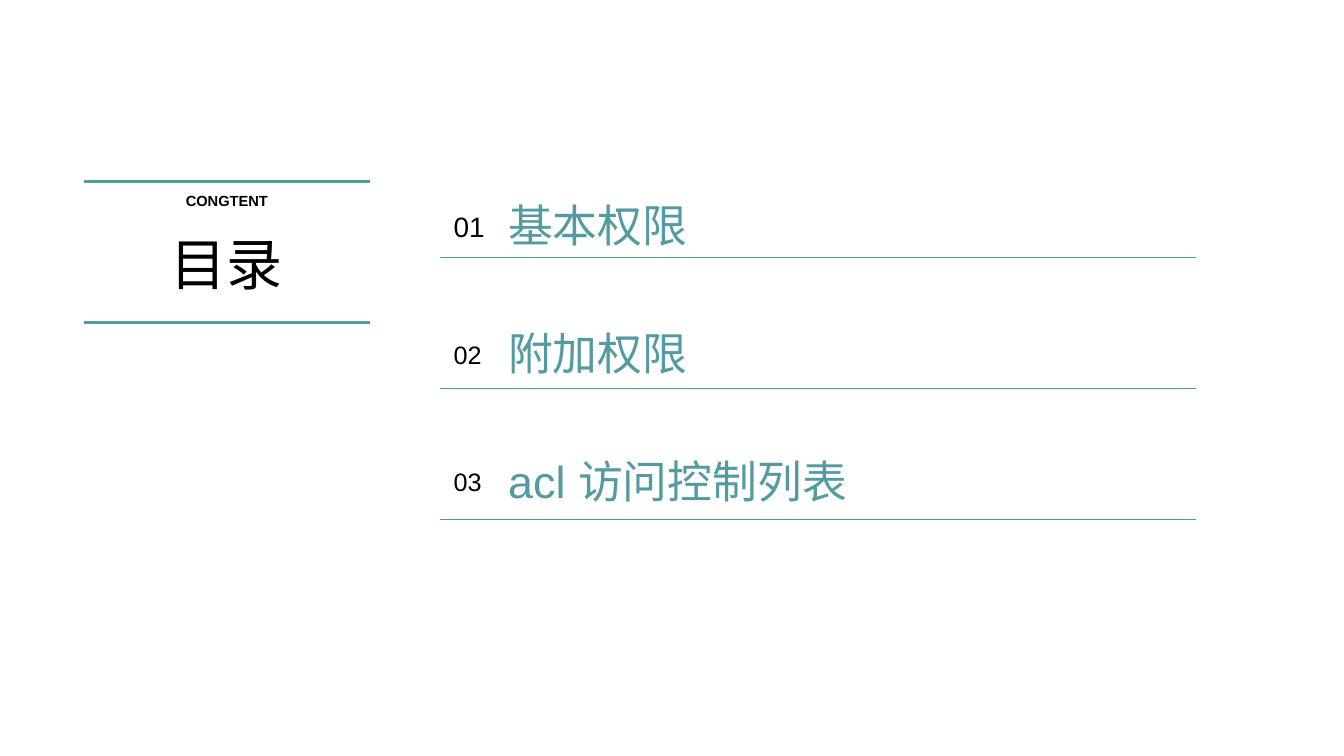
import pptx
import pptx.util
import pptx.dml.color
import pptx.enum.text
import pptx.oxml.ns
import lxml.etree

Pt = pptx.util.Pt
ALIGN = pptx.enum.text.PP_ALIGN
ANCHOR = pptx.enum.text.MSO_ANCHOR
TEAL, BLACK = "529BA0", "000000"

TITLE, LABEL = "目录", "CONGTENT"
ITEMS = [
    ("01", 20, "基本权限", 136),
    ("02", 18, "附加权限", 136),
    ("03", 18, "acl 访问控制列表", 264),
]
RULES = [(129.6, 1.75), (230.4, 2.5)]
TOP, STEP = 141.6, 91.2
BASE, PITCH = 183.6, 93.6

deck = pptx.Presentation()
deck.slide_width, deck.slide_height = Pt(960), Pt(540)
slide = deck.slides.add_slide(deck.slide_layouts[6])


def color(code):
    return pptx.dml.color.RGBColor.from_string(code)


def write(text, box, size, tint, align=ALIGN.LEFT, anchor=ANCHOR.TOP, bold=False):
    frame = slide.shapes.add_textbox(*map(Pt, box)).text_frame
    frame.word_wrap = True
    frame.vertical_anchor = anchor
    frame.margin_left = frame.margin_right = 0
    frame.margin_top = frame.margin_bottom = 0
    frame.text = text
    para = frame.paragraphs[0]
    para.alignment = align
    font = para.runs[0].font
    font.name, font.size, font.bold = "Arial", Pt(size), bold
    font.color.rgb = color(tint)


def rule(left, right, y, width):
    line = slide.shapes.add_connector(1, Pt(left), Pt(y), Pt(right), Pt(y))
    line.line.color.rgb = color(TEAL)
    line.line.width = Pt(width)
    props = line._element.spPr
    lxml.etree.SubElement(props, pptx.oxml.ns.qn("a:effectLst"))


write(TITLE, (58.3, 155.5, 206.6, 64.8), 40, BLACK, ALIGN.CENTER, ANCHOR.MIDDLE)
write(LABEL, (121, 136.8, 82, 13), 10.5, BLACK, ALIGN.CENTER, bold=True)
for y, width in RULES:
    rule(60, 264.4, y, width)

for row, (number, size, name, width) in enumerate(ITEMS):
    top = TOP + row * STEP
    write(number, (324, top + 7.8, 25.2, 24.5), size, BLACK, anchor=ANCHOR.MIDDLE)
    write(name, (363, top, width, 41), 32, TEAL)
    rule(314, 854.6, BASE + row * PITCH, 0.5)

deck.save("out.pptx")
